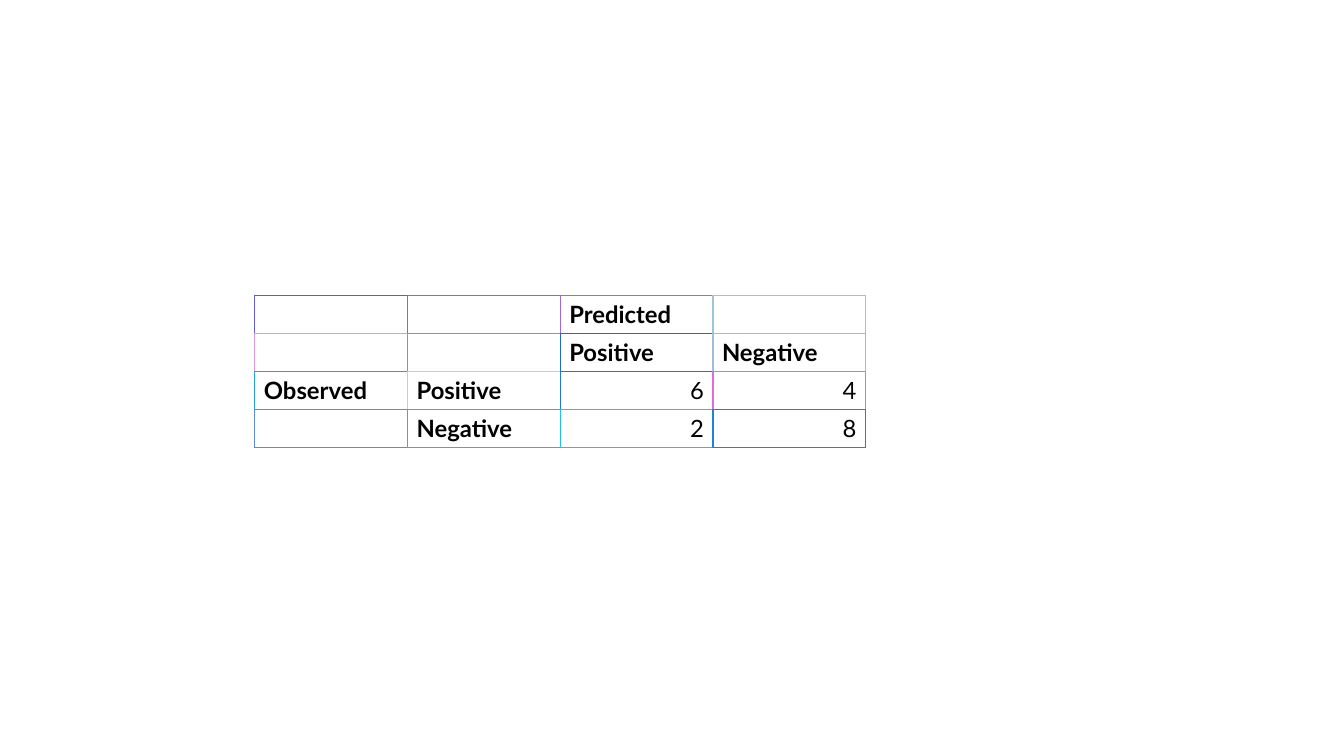
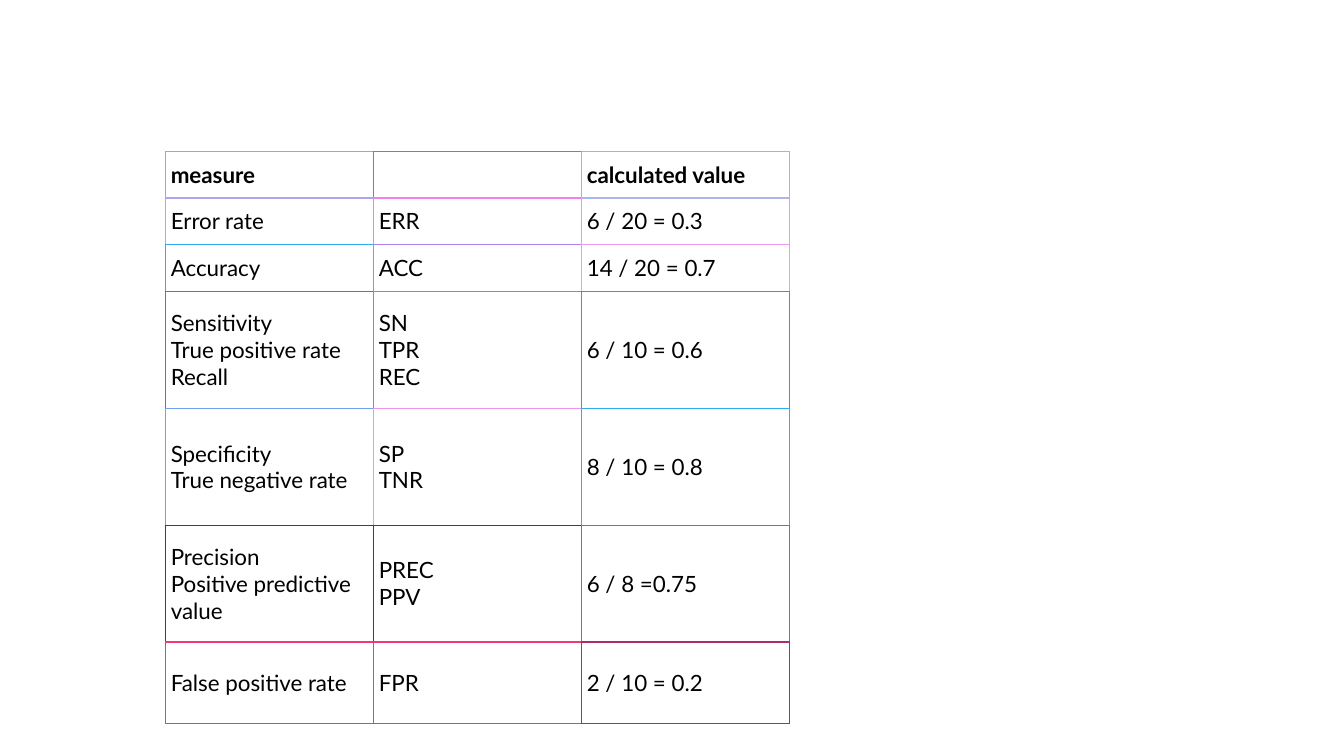
from lxml import etree
from pptx import Presentation
from pptx.dml.color import RGBColor
from pptx.enum import text as txt
from pptx.oxml import ns
from pptx.util import Pt

BLACK = RGBColor(0, 0, 0)
WHITE = RGBColor(255, 255, 255)
FONT = "Lato"
LEFT, RIGHT = txt.PP_ALIGN.LEFT, txt.PP_ALIGN.RIGHT

# Key colour of each cell: it draws the left and top edges
MATRIX_LINES = [
    "605BDB 607CDB A068DB A0C3DB",
    "E096DB A080DB 2067DB A0BCDB",
    "20A5DB E0BEDB 2076DB E06BDB",
    "6088DB 6099DB 20C3DB 2081DB",
]
MEASURE_LINES = [
    "B097ED 3098ED B0AAED",
    "B0A5ED F080ED B0B4ED",
    "30ABED B080ED F099ED",
    "3080ED 30ADED 3099ED",
    "70A0ED F094ED 30ACED",
    "303E75 303E75 F03975",
    "F03975 F03975 B02975",
]

MATRIX = [
    ["", "", "Predicted", ""],
    ["", "", "Positive", "Negative"],
    ["Observed", "Positive", "6", "4"],
    ["", "Negative", "2", "8"],
]
MEASURES = [
    ["measure", "", "calculated value"],
    ["Error rate", "ERR", "6 / 20 = 0.3"],
    ["Accuracy", "ACC", "14 / 20 = 0.7"],
    ["Sensitivity\nTrue positive rate\nRecall", "SN\nTPR\nREC", "6 / 10 = 0.6"],
    ["Specificity\nTrue negative rate", "SP\nTNR", "8 / 10 = 0.8"],
    ["Precision\nPositive predictive value", "PREC\nPPV", "6 / 8 =0.75"],
    ["False positive rate", "FPR", "2 / 10 = 0.2"],
]


def write(frame, words, size, bold=False, align=LEFT):
    """Fill a text frame; line breaks and empty cells get the size too."""
    para = frame.paragraphs[0]
    para.text = words
    para.alignment = align
    for run in para.runs:
        font = run.font
        font.name, font.size, font.bold = FONT, Pt(size), bold
        font.color.rgb = BLACK
    props = [(mark, "a:rPr") for mark in para._p.findall(ns.qn("a:br"))]
    if not words:
        props.append((para._p, "a:endParaRPr"))
    for parent, tag in props:
        etree.SubElement(parent, ns.qn(tag), sz=str(size * 100))


def edge(cell, place, side, color, width):
    """Put one border line at its place among the cell properties."""
    line = etree.Element(ns.qn("a:ln" + side), w=str(Pt(width)))
    fill = etree.SubElement(line, ns.qn("a:solidFill"))
    etree.SubElement(fill, ns.qn("a:srgbClr"), val=color)
    cell._tc.get_or_add_tcPr().insert(place, line)


def frame_cell(cell, lines, row, col):
    """Right and bottom edges take the neighbour's colour, thinner outside."""
    own = lines[row][col]
    right = (lines[row][col + 1], 1) if col + 1 < len(lines[row]) else (own, 0.75)
    below = (lines[row + 1][col], 1) if row + 1 < len(lines) else (own, 0.75)
    edges = [("L", (own, 1)), ("R", right), ("T", (own, 1)), ("B", below)]
    for place, (side, look) in enumerate(edges):
        edge(cell, place, side, *look)


def add_grid(deck, data, keys, left, top, widths, heights, size, inset, style):
    """Add a slide with one table; style(row, col) gives the text format."""
    slide = deck.slides.add_slide(deck.slide_layouts[6])
    table = slide.shapes.add_table(
        len(heights), len(widths), Pt(left), Pt(top),
        Pt(sum(widths)), Pt(sum(heights))).table
    table.first_row = table.horz_banding = False
    for column, width in zip(table.columns, widths):
        column.width = Pt(width)
    for band, height in zip(table.rows, heights):
        band.height = Pt(height)

    lines = [key.split() for key in keys]
    for row, entries in enumerate(data):
        for col, words in enumerate(entries):
            cell = table.cell(row, col)
            cell.fill.solid()
            cell.fill.fore_color.rgb = WHITE
            cell.vertical_anchor = txt.MSO_ANCHOR.MIDDLE
            cell.margin_left = cell.margin_right = Pt(inset)
            cell.margin_top = cell.margin_bottom = Pt(inset / 2)
            write(cell.text_frame, words, size, **style(row, col))
            frame_cell(cell, lines, row, col)


def matrix_style(row, col):
    count = row > 1 and col > 1
    return {"bold": not count, "align": RIGHT if count else LEFT}


def measure_style(row, col):
    return {"bold": row == 0}


def main():
    deck = Presentation()
    deck.slide_width, deck.slide_height = Pt(960), Pt(540)

    # Confusion matrix
    add_grid(deck, MATRIX, MATRIX_LINES, 182, 211, [109.1] * 4, [27] * 4,
             size=17, inset=6.5, style=matrix_style)

    # Measures worked out from the matrix
    add_grid(deck, MEASURES, MEASURE_LINES, 118, 108, [148.6] * 3,
             [33.4] * 3 + [83.5] * 3 + [58.2],
             size=16, inset=4, style=measure_style)

    deck.save("out.pptx")


main()
